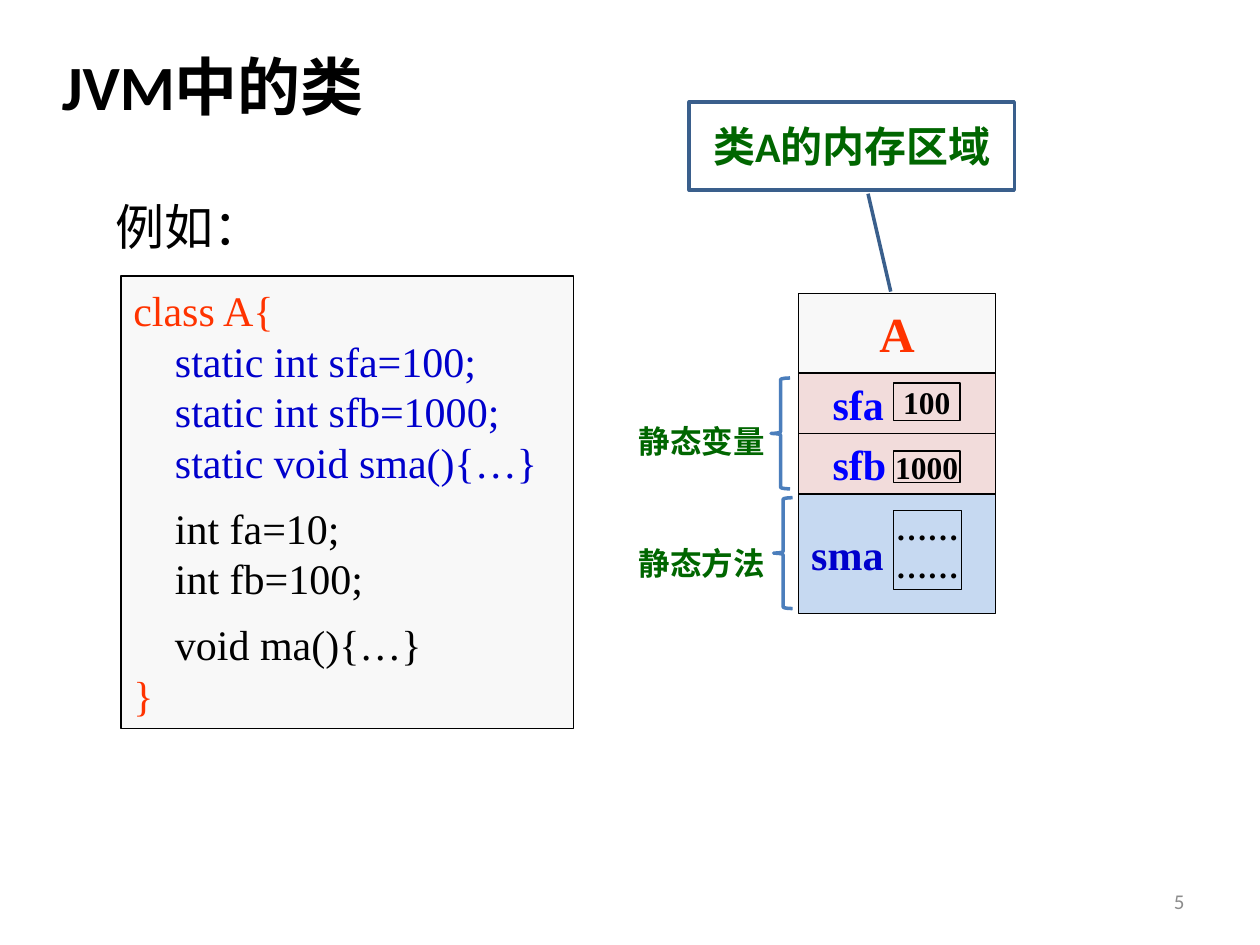
from pptx import Presentation
from pptx.dml.color import RGBColor
from pptx.enum.shapes import MSO_SHAPE
from pptx.enum.text import MSO_ANCHOR, PP_ALIGN
from pptx.util import Inches, Pt

BLACK = RGBColor(0, 0, 0)
WHITE = RGBColor(255, 255, 255)
GRAY = RGBColor(0x8C, 0x8C, 0x8C)
PALE = RGBColor(0xF8, 0xF8, 0xF8)
PINK = RGBColor(0xF2, 0xDC, 0xDB)
SKY = RGBColor(0xC6, 0xD9, 0xF1)
RED = RGBColor(0xFF, 0x33, 0)
NAVY = RGBColor(0, 0, 0xCC)
BLUE = RGBColor(0, 0, 0xFF)
GREEN = RGBColor(0, 0x66, 0)
CALLOUT_LINE = RGBColor(0x3A, 0x5F, 0x8C)
BRACE_LINE = RGBColor(0x4B, 0x7E, 0xBC)
SERIF, SANS = "Times New Roman", "Calibri"
LEFT, CENTER, RIGHT = PP_ALIGN.LEFT, PP_ALIGN.CENTER, PP_ALIGN.RIGHT

TITLE = "JVM中的类"
CODE = [
    ("class A{", RED, 0, 0),
    ("static int sfa=100;", NAVY, 0.33, 0),
    ("static int sfb=1000;", NAVY, 0.33, 0),
    ("static void sma(){…}", NAVY, 0.33, 0),
    ("int fa=10;", BLACK, 0.33, 9),
    ("int fb=100;", BLACK, 0.33, 0),
    ("void ma(){…}", BLACK, 0.33, 9),
    ("}", RED, 0, 0),
]
MEMORY = [
    ("A", 0.63, PALE, RED, 28, CENTER, 0),
    ("sfa", 0.48, PINK, BLUE, 24, LEFT, 0.17),
    ("sfb", 0.48, PINK, BLUE, 24, LEFT, 0.17),
    ("sma", 0.95, SKY, NAVY, 24, LEFT, 0),
]
VALUES = [
    (["100"], 3.04, 0.53, 0.3),
    (["1000"], 3.58, 0.53, 0.25),
    (["……", "……"], 4.05, 0.54, 0.63),
]
LABELS = [
    ("例如：", 0.82, 1.51, 1.38, 0.57, 28, BLACK, False, LEFT),
    ("静态变量", 4.97, 3.3, 1.24, 0.4, 18, GREEN, True, LEFT),
    ("静态方法", 4.97, 4.27, 1.24, 0.4, 18, GREEN, True, LEFT),
    ("5", 7.17, 6.95, 2.33, 0.4, 12, GRAY, False, RIGHT),
]
BRACES = [(6.12, 3), (6.14, 3.95)]
MEMORY_LEFT, MEMORY_TOP, MEMORY_WIDTH = 6.34, 2.33, 1.56


def style(paragraph, size, color, bold=False, font=SERIF, align=LEFT, indent=0, before=0):
    paragraph.alignment = align
    paragraph.space_before = Pt(before)
    paragraph.font.name = font
    paragraph.font.size = Pt(size)
    paragraph.font.bold = bold
    paragraph.font.color.rgb = color
    if indent:
        paragraph._p.get_or_add_pPr().set("marL", str(Inches(indent)))


def add_outline(slide, kind, box, fill, line, width):
    shape = slide.shapes.add_shape(kind, *map(Inches, box))
    shape.shadow.inherit = False
    if fill is None:
        shape.fill.background()
    else:
        shape.fill.solid()
        shape.fill.fore_color.rgb = fill
    shape.line.color.rgb = line
    shape.line.width = Pt(width)
    return shape


def write(frame, lines, wrap):
    frame.text = "\n".join(lines)
    frame.word_wrap = wrap
    frame.vertical_anchor = MSO_ANCHOR.MIDDLE
    return frame.paragraphs


def add_box(slide, box, fill, lines, wrap):
    shape = add_outline(slide, MSO_SHAPE.RECTANGLE, box, fill, BLACK, 0.75)
    return shape.text_frame, write(shape.text_frame, lines, wrap)


def main():
    prs = Presentation()
    prs.slide_width, prs.slide_height = Inches(10), Inches(7.5)
    slide = prs.slides.add_slide(prs.slide_layouts[5])

    title = slide.shapes.title
    title.left, title.top, title.width, title.height = map(Inches, (0.39, 0.39, 8.25, 0.57))
    style(write(title.text_frame, [TITLE], True)[0], 36, BLACK, True, SANS)

    _, code_lines = add_box(slide, (0.96, 2.19, 3.59, 3.59), PALE, [row[0] for row in CODE], True)
    for paragraph, (_, color, indent, before) in zip(code_lines, CODE):
        style(paragraph, 24, color, indent=indent, before=before)

    top = MEMORY_TOP
    for name, height, fill, color, size, align, indent in MEMORY:
        cell = (MEMORY_LEFT, top, MEMORY_WIDTH, height)
        _, names = add_box(slide, cell, fill, [name], True)
        style(names[0], size, color, True, align=align, indent=indent)
        top += height

    for lines, top, width, height in VALUES:
        frame, paragraphs = add_box(slide, (7.09, top, width, height), None, lines, False)
        if len(lines) > 1:
            frame.margin_top = 0
        for paragraph in paragraphs:
            style(paragraph, 18, BLACK, True, align=CENTER)

    callout = add_outline(slide, MSO_SHAPE.LINE_CALLOUT_1, (5.47, 0.81, 2.58, 0.7),
                          WHITE, CALLOUT_LINE, 2)
    for i, value in enumerate((1.04, 0.55, 2.15, 0.62)):
        callout.adjustments[i] = value
    style(write(callout.text_frame, ["类A的内存区域"], True)[0], 24, GREEN, True, SANS, CENTER)

    for text, left, top, width, height, size, color, bold, align in LABELS:
        label = slide.shapes.add_textbox(*map(Inches, (left, top, width, height)))
        style(write(label.text_frame, [text], True)[0], size, color, bold, SANS, align)

    for left, top in BRACES:
        add_outline(slide, MSO_SHAPE.LEFT_BRACE, (left, top, 0.15, 0.88), None, BRACE_LINE, 2)

    prs.save("out.pptx")


if __name__ == "__main__":
    main()
